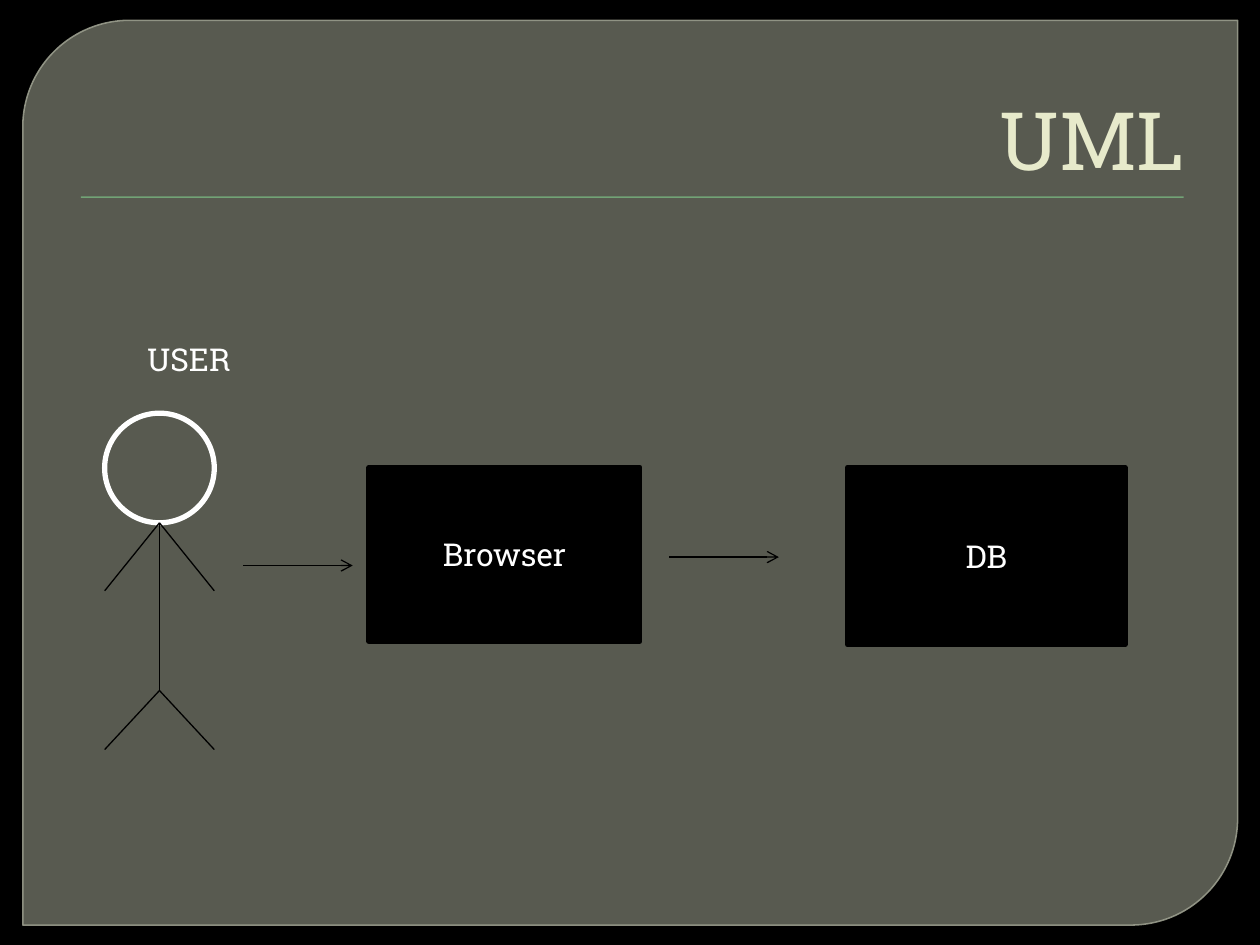
from lxml.etree import SubElement
from pptx import Presentation
from pptx.dml.color import RGBColor
from pptx.enum.shapes import MSO_CONNECTOR, MSO_SHAPE as SHAPE
from pptx.enum.text import MSO_ANCHOR as ANCHOR, MSO_AUTO_SIZE as AUTO, PP_ALIGN as ALIGN
from pptx.oxml.ns import qn
from pptx.util import Cm, Pt

FONT = "Roboto Slab"
BLACK, WHITE = "000000", "FFFFFF"
TITLE = ("UML", (1.27, 0.71, 22.86, 3.18))
USER = ("USER", (2.64, 6.73, 2.26, 1.02))
PANEL = (0.46, 0.41, 24.49, 18.24)
RULE = (1.63, 3.96, 22.23, 0.03)
BOXES = [
    ("Browser", (7.44, 9.42, 5.46, 3.51)),
    ("DB", (17.09, 9.42, 5.59, 3.58)),
]
ARROWS = [(13.49, 11.23), (4.9, 11.4)]
ARROW_LENGTH = 2.21
HEAD_LEFT, HEAD_TOP, HEAD_SIZE = 2.11, 8.33, 2.21
HAND_Y, HIP_Y, FOOT_Y = 11.91, 13.92, 15.11


def rgb(color):
    """Turn a hex string into a colour."""
    return RGBColor.from_string(color)


def set_alpha(fill, percent):
    """Make a solid fill partly transparent."""
    color = fill._xPr.find(qn("a:solidFill"))[0]
    SubElement(color, qn("a:alpha")).set("val", str(percent * 1000))


def add_shape(kind, box, fill=None, line=None, width=3):
    """Add a preset shape with an optional fill and outline."""
    sp = slide.shapes.add_shape(kind, *map(Cm, box))
    sp.shadow.inherit = False
    if fill:
        sp.fill.solid()
        sp.fill.fore_color.rgb = rgb(fill)
    else:
        sp.fill.background()
    if line:
        sp.line.color.rgb = rgb(line)
        sp.line.width = Pt(width)
    else:
        sp.line.fill.background()
    return sp


def add_line(start, end, arrow=False):
    """Add a thin black line, with an arrowhead at its end if asked."""
    points = map(Cm, (*start, *end))
    line = slide.shapes.add_connector(MSO_CONNECTOR.STRAIGHT, *points)
    line.line.color.rgb = rgb(BLACK)
    line.line.width = Pt(0.75)
    SubElement(line.element.spPr, qn("a:effectLst"))
    if arrow:
        SubElement(line.line._get_or_add_ln(), qn("a:tailEnd")).set("type", "arrow")


def write(sp, text, size=18, color=WHITE, align=ALIGN.CENTER, anchor=ANCHOR.MIDDLE):
    """Write one formatted paragraph into a shape."""
    tf = sp.text_frame
    tf.text = text
    tf.word_wrap = True
    tf.auto_size = AUTO.NONE
    tf.vertical_anchor = anchor
    p = tf.paragraphs[0]
    p.alignment = align
    p.font.name = FONT
    p.font.size = Pt(size)
    p.font.color.rgb = rgb(color)


prs = Presentation()
prs.slide_width, prs.slide_height = Cm(25.4), Cm(19.05)
slide = prs.slides.add_slide(prs.slide_layouts[5])
slide.background.fill.solid()
slide.background.fill.fore_color.rgb = rgb(BLACK)

panel = add_shape(SHAPE.ROUND_2_DIAG_RECTANGLE, PANEL, "888B7B", "9DA090", 0.87)
panel.adjustments[0] = 0.118
set_alpha(panel.fill, 65)
set_alpha(panel.line.fill, 88)
rule = add_shape(SHAPE.RECTANGLE, RULE, "72A376")

text, box = TITLE
title = slide.shapes.title
title.left, title.top, title.width, title.height = map(Cm, box)
write(title, text, 46, "E7EACB", ALIGN.RIGHT, ANCHOR.BOTTOM)
rule.element.addnext(title.element)

add_shape(SHAPE.OVAL, (HEAD_LEFT, HEAD_TOP, HEAD_SIZE, HEAD_SIZE), line=WHITE)
center = HEAD_LEFT + HEAD_SIZE / 2
neck, hip = (center, HEAD_TOP + HEAD_SIZE), (center, HIP_Y)
add_line(neck, hip)
for joint, end_y in ((neck, HAND_Y), (hip, FOOT_Y)):
    for end_x in (HEAD_LEFT + HEAD_SIZE, HEAD_LEFT):
        add_line(joint, (end_x, end_y))

for text, box in BOXES:
    write(add_shape(SHAPE.RECTANGLE, box, BLACK, BLACK), text)
for x, y in ARROWS:
    add_line((x, y), (x + ARROW_LENGTH, y), arrow=True)

text, box = USER
label = slide.shapes.add_textbox(*map(Cm, box))
write(label, text, align=ALIGN.RIGHT, anchor=ANCHOR.TOP)

prs.save("out.pptx")
